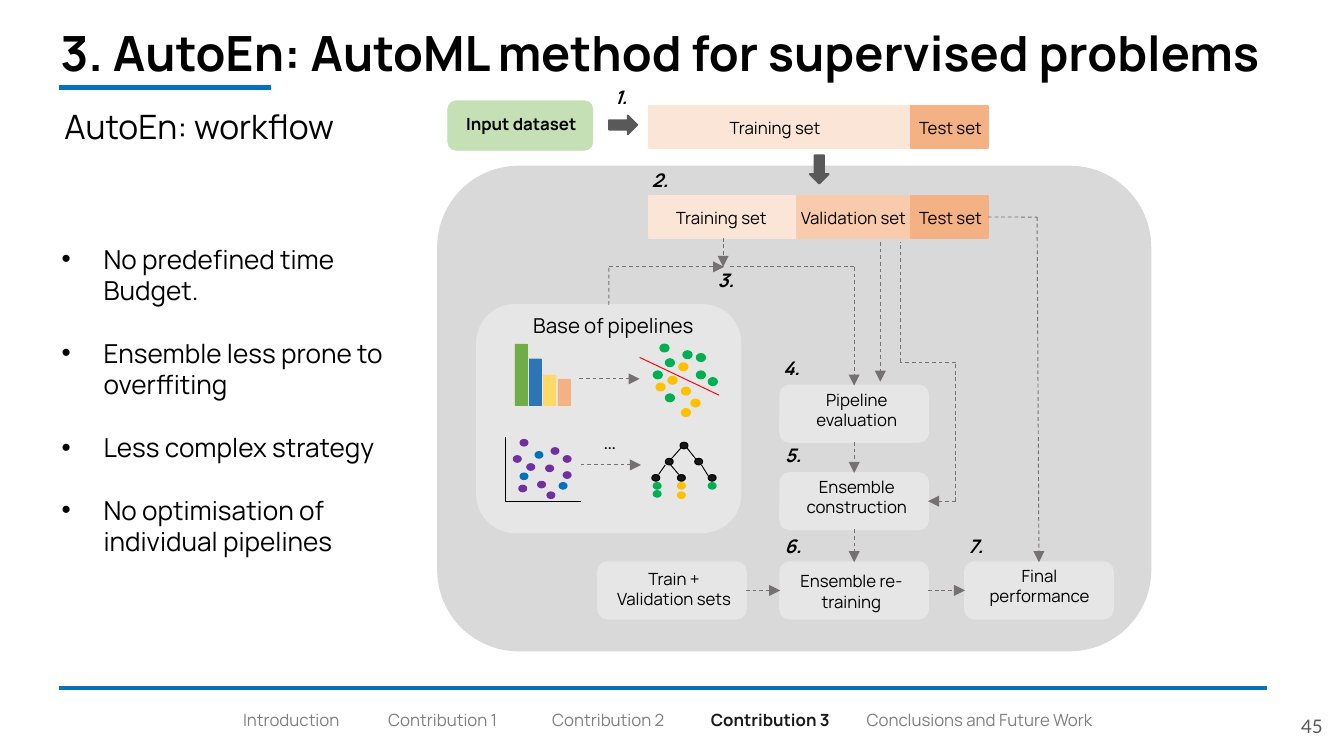
from lxml.etree import SubElement as SubEl
from pptx import Presentation
from pptx.dml.color import RGBColor as RGB
from pptx.enum.dml import MSO_LINE
from pptx.enum.shapes import MSO_CONNECTOR as CXN, MSO_SHAPE as SHAPE
from pptx.enum.text import MSO_ANCHOR as ANCHOR, PP_ALIGN as ALIGN
from pptx.oxml.ns import qn
from pptx.util import Pt

BLACK = RGB(0x00, 0x00, 0x00)
NODE = RGB(0x18, 0x17, 0x17)
ACTIVE = RGB(0x1A, 0x1A, 0x1A)
DARK = RGB(0x59, 0x59, 0x59)
DASH_GRAY = RGB(0x76, 0x71, 0x71)
FOOT_GRAY = RGB(0x80, 0x80, 0x80)
PANEL = RGB(0xD9, 0xD9, 0xD9)
BOX = RGB(0xE7, 0xE6, 0xE6)
RULE_BLUE = RGB(0x07, 0x71, 0xB9)
RED = RGB(0xFF, 0x00, 0x00)
GREEN = RGB(0x00, 0xB0, 0x50)
YELLOW = RGB(0xFF, 0xC0, 0x00)
BLUE = RGB(0x00, 0x70, 0xC0)
PURPLE = RGB(0x70, 0x30, 0xA0)
TRAIN = RGB(0xFB, 0xE5, 0xD6)
VALID = RGB(0xF8, 0xCB, 0xAD)
TEST = RGB(0xF4, 0xB1, 0x83)
INPUT = RGB(0xC5, 0xE0, 0xB4)
BARS = (RGB(0x70, 0xAD, 0x47), RGB(0x2E, 0x75, 0xB6), RGB(0xFF, 0xD9, 0x66), TEST)


def add_text(s, text, x, y, w, h, size=9, color=BLACK, font="Manrope", bold=False,
             italic=False, align=ALIGN.LEFT, anchor=ANCHOR.TOP, pad=3.6, bullet=False, gap=0):
    """Add a text box with one paragraph per line of text."""
    tf = s.shapes.add_textbox(Pt(x), Pt(y), Pt(w), Pt(h)).text_frame
    tf.word_wrap, tf.vertical_anchor = True, anchor
    tf.margin_top = tf.margin_bottom = Pt(pad)
    for i, line in enumerate(text.split("\n")):
        p = tf.paragraphs[0] if i == 0 else tf.add_paragraph()
        p.alignment = align
        p.space_before = Pt(gap if i else 0)
        r = p.add_run()
        r.text = line
        r.font.size, r.font.name = Pt(size), font
        r.font.bold, r.font.italic = bold, italic
        r.font.color.rgb = color
        if bullet:
            pPr = p._p.get_or_add_pPr()
            pPr.set("marL", str(Pt(22.5)))
            pPr.set("indent", str(-Pt(22.5)))
            SubEl(pPr, qn("a:buFont"), typeface="Arial")
            SubEl(pPr, qn("a:buChar"), char="•")


def add_block(s, kind, x, y, w, h, fill, line=None, width=1.0):
    """Add a filled preset shape outlined in its own or a given colour."""
    sp = s.shapes.add_shape(kind, Pt(x), Pt(y), Pt(w), Pt(h))
    sp.shadow.inherit = False
    sp.fill.solid()
    sp.fill.fore_color.rgb = fill
    sp.line.color.rgb = line or fill
    sp.line.width = Pt(width)
    return sp


def add_dots(s, points, w, h, fill, line=None):
    """Add one small ellipse at each point."""
    for x, y in points:
        add_block(s, SHAPE.OVAL, x, y, w, h, fill, line, 0.5)


def add_line(s, start, end, color=BLACK, width=0.5):
    """Add a straight line; each end is an (x, y) point or a (shape, side) join."""
    joins = [hasattr(e[0], "shape_id") for e in (start, end)]
    (x1, y1), (x2, y2) = [(0, 0) if j else e for j, e in zip(joins, (start, end))]
    c = s.shapes.add_connector(CXN.STRAIGHT, Pt(x1), Pt(y1), Pt(x2), Pt(y2))
    if joins[0]:
        c.begin_connect(*start)
    if joins[1]:
        c.end_connect(*end)
    c.line.color.rgb = color
    c.line.width = Pt(width)
    SubEl(c._element.spPr, qn("a:effectLst"))
    return c


def add_flow(s, start, end, arrow=True):
    """Add a dashed flow line, with an arrowhead unless told otherwise."""
    c = add_line(s, start, end, DASH_GRAY)
    c.line.dash_style = MSO_LINE.DASH
    if arrow:
        SubEl(c._element.spPr.find(qn("a:ln")), qn("a:tailEnd"), type="triangle")


def add_frame(s):
    """Add the title, rules, bullets, footer and page number."""
    add_text(s, "3. AutoEn: AutoML method for supervised problems",
             25.2, 5, 690.5, 42.5, size=26, bold=True, pad=7.2)
    add_text(s, "AutoEn: workflow", 27.4, 53.3, 176.4, 28.8, size=18)
    add_line(s, (31.7, 46.8), (145.4, 46.8), RULE_BLUE, 2.5)
    add_line(s, (31.7, 368.6), (679, 368.6), RULE_BLUE, 2.5)
    add_text(s, "No predefined time Budget.\nEnsemble less prone to overffiting\n"
             "Less complex strategy\nNo optimisation of individual pipelines",
             25.9, 126.7, 197.3, 177.1, size=14, bullet=True, gap=16.8)
    for text, x, w in (("Introduction", 123.1, 72.7), ("Contribution 1", 200.9, 79.2),
                       ("Contribution 2", 288.7, 81.4), ("Contribution 3", 373.7, 82.8),
                       ("Conclusions and Future Work", 457.2, 142.6)):
        active = text == "Contribution 3"
        add_text(s, text, x, 376.9, w, 18, color=ACTIVE if active else FOOT_GRAY, bold=active)
    add_text(s, "45", 672.5, 373.7, 43.2, 31, size=10, color=DARK, font="Lato",
             align=ALIGN.RIGHT, anchor=ANCHOR.MIDDLE, pad=7.2)


def add_split(s, y, parts):
    """Add a data set bar made of adjoining parts and return the parts."""
    x, blocks = 347.8, []
    for text, w, fill, text_x in parts:
        blocks.append(add_block(s, SHAPE.RECTANGLE, x, y, w, 22.3, fill))
        add_text(s, text, text_x, y + 2.5, 104.4, 18)
        x += w
    return blocks


def add_pipelines(s):
    """Add the base of pipelines with its four small drawings."""
    base = add_block(s, SHAPE.ROUNDED_RECTANGLE, 255.6, 163.4, 141.1, 121.7, BOX)
    add_text(s, "Base of pipelines", 278.6, 164.2, 131.8, 20.9, size=11)
    add_text(s, "…", 316.1, 226.1, 95, 20.9, size=11)
    add_flow(s, (310.3, 203), (342.7, 203))
    add_flow(s, (311, 249.1), (343.4, 249.1))
    for i, (h, color) in enumerate(zip((33.1, 25.2, 16.6, 14.4), BARS)):
        add_block(s, SHAPE.RECTANGLE, 275.8 + 7.7 * i, 217.4 - h, 6.5, h, color, width=0.25)

    add_line(s, (270.7, 234), (270.7, 268.6))
    add_line(s, (270.7, 268.6), (311, 268.6))
    add_dots(s, ((286.6, 241.9), (299.5, 258.5), (278.6, 253.4)), 4.3, 3.6, BLUE)
    add_dots(s, ((288, 257.8), (292.3, 249.1), (277.9, 259.9), (275, 244.1), (295.2, 239.8),
                 (301.7, 252.7), (282.2, 248.4), (301.7, 244.1), (278.6, 235.4),
                 (293, 263.5)), 4.3, 3.6, PURPLE)

    add_dots(s, ((356.4, 211), (349.9, 198.7), (356.4, 192.2), (373, 198.7), (373, 189.4),
                 (379.4, 202.3), (365.8, 187.9), (353.5, 184.3)), 5, 4.3, GREEN)
    add_dots(s, ((363.6, 194.4), (357.8, 201.6), (351.4, 205.2), (365, 207.4),
                 (370.1, 213.8), (365, 218.9)), 5, 4.3, YELLOW)
    add_line(s, (342.7, 191.5), (385.2, 211.7), RED)

    add_dots(s, ((364.3, 236.9), (356.4, 245.5), (372.2, 245.5), (349.2, 254.2),
                 (362.9, 254.2), (379.4, 254.2)), 4.3, 3.6, NODE, BLACK)
    add_dots(s, ((362.9, 258.5), (362.9, 263.5)), 4.3, 3.6, YELLOW)
    add_dots(s, ((379.4, 258.5), (349.9, 258.5), (349.9, 262.8)), 4.3, 3.6, GREEN)
    for start, end in (((367.9, 239.8), (373, 246.2)), ((365, 239.8), (359.3, 246.2)),
                       ((356.4, 249.1), (352.8, 254.2)), ((359.3, 249.1), (363.6, 254.2)),
                       ((375.8, 249.1), (379.4, 254.9))):
        add_line(s, start, end)
    return base


def add_step(s, text, x, y, text_x, text_y):
    """Add a rounded workflow step with its two-line label."""
    sp = add_block(s, SHAPE.ROUNDED_RECTANGLE, x, y, 79.2, 30.2, BOX)
    add_text(s, text, text_x, text_y, 77, 28.8, align=ALIGN.CENTER)
    return sp


def add_workflow(s):
    """Add the workflow diagram: data sets, steps, flows and step numbers."""
    add_block(s, SHAPE.ROUNDED_RECTANGLE, 234.7, 89.3, 381.6, 259.2, PANEL)
    base = add_pipelines(s)
    add_block(s, SHAPE.ROUNDED_RECTANGLE, 239.8, 54, 77.8, 26.6, INPUT, width=0.25)
    add_text(s, "Input dataset", 242.6, 57.6, 79.9, 18, bold=True)
    test = ("Test set", 41, TEST, 485.3)
    add_split(s, 56.9, (("Training set", 140.4, TRAIN, 383.8), test))
    train, _, held_out = add_split(s, 105.1, (("Training set", 79.2, TRAIN, 355),
                                              ("Validation set", 61.2, VALID, 421.9), test))
    for x, y, turn in ((326.2, 61.9, 0), (431.3, 85.7, 90)):
        add_block(s, SHAPE.RIGHT_ARROW, x, y, 15.1, 10.1, DARK).rotation = turn

    evaluate = add_step(s, "Pipeline\nevaluation", 418, 206.6, 420.5, 205.2)
    construct = add_step(s, "Ensemble\nconstruction", 418, 253.4, 420.5, 252)
    retrain = add_step(s, "Ensemble re-\ntraining", 418, 301.2, 417.6, 302.4)
    final = add_step(s, "Final\nperformance", 517, 301.2, 518.4, 299.5)
    both_sets = add_step(s, "Train +\nValidation sets", 320.4, 301.2, 322.6, 301)

    for start, end in (((evaluate, 2), (construct, 0)), ((construct, 2), (retrain, 0)),
                       ((both_sets, 3), (retrain, 1)), ((retrain, 3), (final, 1)),
                       ((train, 2), (387.4, 143)), ((326.2, 143), (388, 143)),
                       ((457.6, 143), (evaluate, 0)), ((471.6, 129.6), (471.6, 204.5)),
                       ((512, 268.5), (construct, 3)), ((555.6, 116.3), (final, 0))):
        add_flow(s, start, end)
    for start, end in (((base, 0), (326.2, 143)), ((457.6, 143), (391, 143)),
                       ((482.4, 194), (482.4, 129.6)), ((512, 194), (482.4, 194)),
                       ((512, 268.5), (512, 194)), ((held_out, 3), (555.6, 116.3))):
        add_flow(s, start, end, arrow=False)

    spots = ((313.2, 42.5), (334.1, 87.1), (369.4, 140.4), (404.6, 187.9),
             (405.4, 234), (405.4, 283), (503.3, 283))
    for n, (x, y) in enumerate(spots, 1):
        add_text(s, f"{n}.", x, y, 38.9, 19.4, size=10, bold=True, italic=True,
                 align=ALIGN.CENTER)


def main():
    """Build and save the slide."""
    prs = Presentation()
    prs.slide_width, prs.slide_height = Pt(720), Pt(405)
    s = prs.slides.add_slide(prs.slide_layouts[6])
    add_frame(s)
    add_workflow(s)
    prs.save("out.pptx")


if __name__ == "__main__":
    main()
